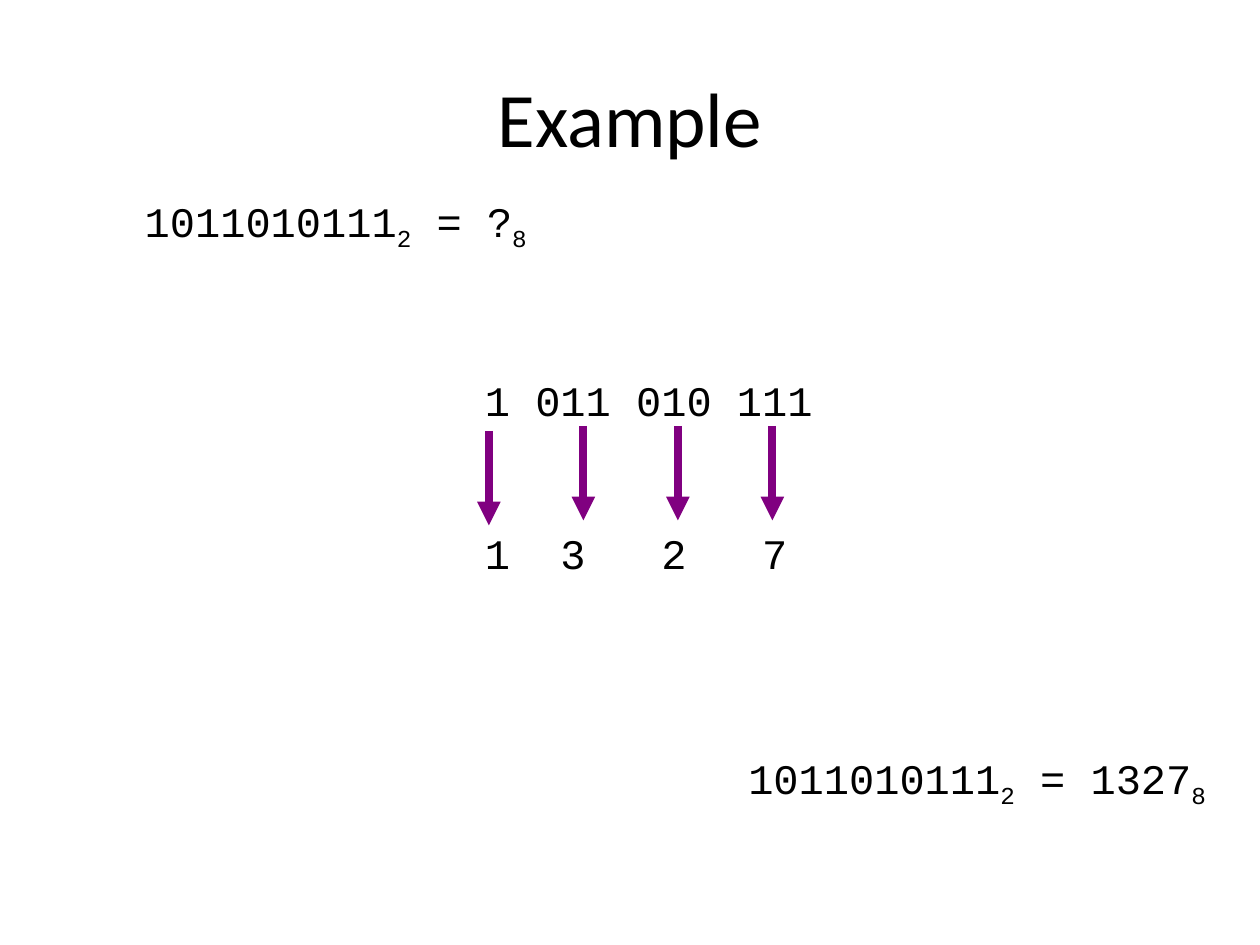
from dataclasses import dataclass

from lxml.etree import SubElement
from pptx import Presentation
from pptx.dml.color import RGBColor
from pptx.enum.shapes import MSO_CONNECTOR
from pptx.enum.text import MSO_ANCHOR, PP_ALIGN
from pptx.oxml.ns import qn
from pptx.util import Inches, Pt


@dataclass(frozen=True)
class Theme:
    text: RGBColor = RGBColor(0x00, 0x00, 0x00)
    arrow: RGBColor = RGBColor(0x80, 0x00, 0x80)
    title_font: str = "Calibri"
    number_font: str = "Courier New"
    title_size: int = 44
    number_size: int = 24
    arrow_width: float = 4.5


THEME = Theme()
GROUP_PITCH = 0.75
DIGIT_TABS = (0.6, 1.4, 2.2)


def write_text(paragraph, text, *, font=THEME.number_font, size=THEME.number_size,
               align=PP_ALIGN.LEFT, subscript=False):
    paragraph.alignment = align
    run = paragraph.add_run()
    run.text = text
    run.font.name = font
    run.font.size = Pt(size)
    run.font.color.rgb = THEME.text
    if subscript:
        run.font._element.set("baseline", "-25000")


def add_title(slide, text):
    title = slide.shapes.title
    title.left, title.top = Inches(0.5), Inches(0.3)
    title.width, title.height = Inches(9), Inches(1.25)
    title.text_frame.vertical_anchor = MSO_ANCHOR.MIDDLE
    write_text(title.text_frame.paragraphs[0], text, font=THEME.title_font,
               size=THEME.title_size, align=PP_ALIGN.CENTER)


def add_text_frame(shapes, left, top, height):
    box = shapes.add_textbox(Inches(left), Inches(top), Inches(4.67), Inches(height))
    frame = box.text_frame
    frame.word_wrap = True
    return frame


def add_equation(slide, left, top, binary, octal, align):
    """Write binary = octal with each base as a subscript."""
    paragraph = add_text_frame(slide.shapes, left, top, 0.56).paragraphs[0]
    for text, subscript in ((binary, False), ("2", True), (f" = {octal}", False), ("8", True)):
        write_text(paragraph, text, align=align, subscript=subscript)


def add_tab_stops(paragraph, positions):
    tab_list = SubElement(paragraph._p.get_or_add_pPr(), qn("a:tabLst"))
    for position in positions:
        SubElement(tab_list, qn("a:tab"), pos=str(Inches(position)), algn="l")


def add_down_arrow(shapes, x, top):
    arrow = shapes.add_connector(MSO_CONNECTOR.STRAIGHT, Inches(x), Inches(top),
                                 Inches(x), Inches(top + 0.75))
    arrow.line.color.rgb = THEME.arrow
    arrow.line.width = Pt(THEME.arrow_width)
    SubElement(arrow.line._get_or_add_ln(), qn("a:tailEnd"), type="triangle")
    SubElement(arrow._element.spPr, qn("a:effectLst"))


def add_conversion(slide):
    """Show each group of three bits above its octal digit."""
    shapes = slide.shapes.add_group_shape().shapes
    frame = add_text_frame(shapes, 3.75, 2.92, 1.77)
    write_text(frame.paragraphs[0], "1 011 010 111")
    digits = frame.add_paragraph()
    digits.space_before = Pt(59)
    add_tab_stops(digits, DIGIT_TABS)
    write_text(digits, "1\t3\t2\t7")
    for index, top in enumerate((3.42, 3.38, 3.38, 3.38)):
        add_down_arrow(shapes, 3.88 + index * GROUP_PITCH, top)


def main():
    presentation = Presentation()
    presentation.slide_width, presentation.slide_height = Inches(10), Inches(7.5)
    slide = presentation.slides.add_slide(presentation.slide_layouts[5])
    add_title(slide, "Example")
    add_equation(slide, 0.33, 1.5, "1011010111", "?", PP_ALIGN.CENTER)
    add_conversion(slide)
    add_equation(slide, 5, 5.92, "1011010111", "1327", PP_ALIGN.RIGHT)
    presentation.save("out.pptx")


if __name__ == "__main__":
    main()
